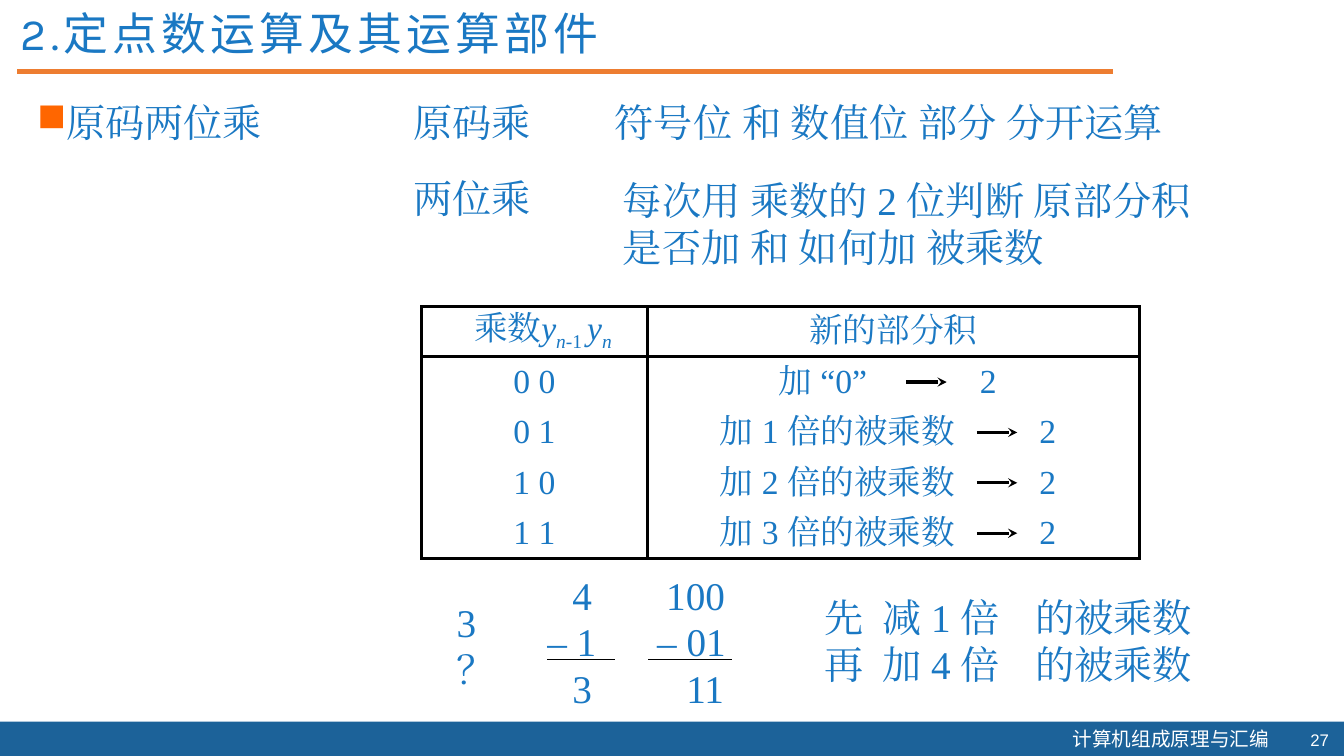
from dataclasses import dataclass
from lxml import etree
from pptx import Presentation
from pptx import util as u
from pptx.dml.color import RGBColor
from pptx.enum import shapes, text
from pptx.oxml import ns

PX = 9144
BLUE = RGBColor(0x1A, 0x78, 0xC3)
NAVY = RGBColor(0x1C, 0x62, 0x99)
ORANGE = RGBColor(0xED, 0x7D, 0x31)
BLACK = RGBColor(0, 0, 0)
WHITE = RGBColor(0xFF, 0xFF, 0xFF)
SERIF = "Times New Roman"
CJK = "Noto Sans CJK SC"
LEFT, CENTER, RIGHT = text.PP_ALIGN.LEFT, text.PP_ALIGN.CENTER, text.PP_ALIGN.RIGHT


@dataclass(frozen=True)
class Run:
    words: str
    italic: bool = False
    baseline: int = 0


@dataclass(frozen=True)
class Label:
    x: int
    y: int
    w: int
    h: int
    lines: tuple[str, ...]
    size: int = 28
    font: str = SERIF
    color: RGBColor = BLUE
    align: text.PP_ALIGN = LEFT
    anchor: text.MSO_ANCHOR = text.MSO_ANCHOR.TOP
    tabs: tuple[int, ...] = ()


@dataclass(frozen=True)
class Rule:
    x1: int
    y1: int
    x2: int
    y2: int
    color: RGBColor = BLACK
    weight: float = 0.75
    arrow: bool = False


@dataclass(frozen=True)
class Product:
    bits: str
    action: str
    start: int
    arrow: int
    result: int


@dataclass(frozen=True)
class Subtraction:
    terms: tuple[str, str, str]
    lefts: tuple[int, int, int]
    bar: tuple[int, int]


def px(n: int) -> u.Emu:
    return u.Emu(n * PX)


def sub(parent, tag: str, **attrs: str):
    return etree.SubElement(parent, ns.qn(tag), attrs)


def add_run(p, run: Run, size: int, font: str, color: RGBColor):
    r = p.add_run()
    r.text = run.words
    r.font.size = u.Pt(size)
    r.font.italic = run.italic
    r.font.color.rgb = color
    r.font.name = font
    rpr = r._r.get_or_add_rPr()
    sub(rpr, "a:ea", typeface=font)
    if run.baseline:
        rpr.set("baseline", str(run.baseline * 1000))
    return r


def add_tabs(p, stops: tuple[int, ...]) -> None:
    if stops:
        tabs = sub(p._p.get_or_add_pPr(), "a:tabLst")
        for stop in stops:
            sub(tabs, "a:tab", pos=str(stop * PX), algn="l")


def add_label(slide, label: Label):
    sp = slide.shapes.add_textbox(px(label.x), px(label.y), px(label.w), px(label.h))
    tf = sp.text_frame
    tf.word_wrap = True
    tf.vertical_anchor = label.anchor
    for i, line in enumerate(label.lines):
        p = tf.add_paragraph() if i else tf.paragraphs[0]
        p.alignment = label.align
        add_tabs(p, label.tabs)
        add_run(p, Run(line), label.size, label.font, label.color)
    return tf.paragraphs[0]


def add_rule(slide, rule: Rule) -> None:
    line = slide.shapes.add_connector(shapes.MSO_CONNECTOR.STRAIGHT, px(rule.x1), px(rule.y1),
                                      px(rule.x2), px(rule.y2))
    line.line.color.rgb = rule.color
    line.line.width = u.Pt(rule.weight)
    if rule.arrow:
        sub(line.line._get_or_add_ln(), "a:tailEnd", type="stealth")
    sub(line._element.spPr, "a:effectLst")


def style_cell(cell, left: int, edges: str) -> None:
    cell.margin_left = px(left)
    cell.margin_right = cell.margin_top = cell.margin_bottom = 0
    cell.vertical_anchor = text.MSO_ANCHOR.MIDDLE
    tcpr = cell._tc.get_or_add_tcPr()
    for side in "LRTB":
        ln = sub(tcpr, f"a:ln{side}", w=str(u.Pt(2.25)))
        if side in edges:
            sub(sub(ln, "a:solidFill"), "a:srgbClr", val=str(BLACK))
        else:
            sub(ln, "a:noFill")
    cell.fill.background()


def add_product_table(slide, products: list[Product]) -> None:
    x, y, widths, row_h = 418, 304, (224, 488), 50
    frame = slide.shapes.add_table(len(products) + 1, 2, px(x), px(y), px(sum(widths)),
                                   px(row_h * (len(products) + 1)))
    table = frame.table
    table.first_row = table.horz_banding = False
    for column, w in zip(table.columns, widths):
        column.width = px(w)
    for row in table.rows:
        row.height = px(row_h)
    heads = (
        (17, (Run("乘数"), Run("y", True), Run("n", True, -25), Run("-1 ", False, -25),
              Run("y", True), Run("n", True, -25))),
        (0, (Run("新的部分积"),)),
    )
    for col, (left, runs) in enumerate(heads):
        cell = table.cell(0, col)
        style_cell(cell, left, "LRTB")
        p = cell.text_frame.paragraphs[0]
        p.alignment = CENTER
        for run in runs:
            add_run(p, run, 24, SERIF, BLUE)
    column_x = x + widths[0]
    for i, item in enumerate(products, 1):
        edges = "LR" + ("T" if i == 1 else "") + ("B" if i == len(products) else "")
        bits, action = table.cell(i, 0), table.cell(i, 1)
        style_cell(bits, 0, edges)
        style_cell(action, item.start - column_x, edges)
        p = bits.text_frame.paragraphs[0]
        p.alignment = CENTER
        add_run(p, Run(item.bits), 24, SERIF, BLUE)
        p = action.text_frame.paragraphs[0]
        p.alignment = LEFT
        add_tabs(p, (item.result - item.start,))
        add_run(p, Run(f"{item.action}\t2"), 24, SERIF, BLUE)
        mid = y + row_h * i + row_h // 2
        add_rule(slide, Rule(item.arrow, mid, item.arrow + 40, mid, weight=2.25, arrow=True))


def add_subtraction(slide, work: Subtraction) -> None:
    for i, (term, x) in enumerate(zip(work.terms, work.lefts)):
        add_label(slide, Label(x, 562 + 46 * i, 110, 57, (term,)))
    add_rule(slide, Rule(work.bar[0], 654, work.bar[1], 654))


def main() -> None:
    prs = Presentation()
    prs.slide_width, prs.slide_height = px(1333), px(750)
    slide = prs.slides.add_slide(prs.slide_layouts[6])

    band = slide.shapes.add_shape(shapes.MSO_SHAPE.RECTANGLE, 0, px(716), px(1333), px(34))
    band.shadow.inherit = False
    band.fill.solid()
    band.fill.fore_color.rgb = NAVY
    band.line.fill.background()
    add_label(slide, Label(1054, 716, 218, 34, ("计算机组成原理与汇编",), 14, CJK, WHITE))
    add_label(slide, Label(1278, 719, 50, 30, ("27",), 12, "Arial", WHITE, RIGHT,
                           text.MSO_ANCHOR.MIDDLE))
    add_rule(slide, Rule(17, 71, 1104, 71, ORANGE, 3))

    title = add_label(slide, Label(11, 7, 1065, 48, ("2.定点数运算及其运算部件",), 32, "Karla"))
    title.line_spacing = 0.9
    title.runs[0]._r.get_or_add_rPr().set("spc", "300")

    topic = add_label(slide, Label(27, 93, 360, 57, ("原码两位乘",)))
    ppr = topic._p.get_or_add_pPr()
    ppr.set("marL", str(px(25)))
    ppr.set("indent", str(px(-25)))
    sub(sub(ppr, "a:buClr"), "a:srgbClr", val="FF6600")
    sub(ppr, "a:buChar", char="■")

    for label in (
        Label(400, 93, 202, 57, ("原码乘",)),
        Label(600, 93, 593, 57, ("符号位 和 数值位 部分 分开运算",)),
        Label(400, 168, 185, 57, ("两位乘",)),
        Label(608, 170, 627, 103, ("每次用 乘数的 2 位判断 原部分积", "是否加 和 如何加 被乘数")),
        Label(443, 589, 80, 103, ("3 ？",)),
        Label(808, 584, 452, 103, ("先\t减 1 倍\t的被乘数", "再\t加 4 倍\t的被乘数"), tabs=(57, 209)),
    ):
        add_label(slide, label)

    add_product_table(slide, [Product("0 0", "加 “0”", 772, 899, 972)] + [
        Product(bits, f"加 {n} 倍的被乘数", 714, 969, 1031)
        for n, bits in enumerate(("0 1", "1 0", "1 1"), 1)])
    add_subtraction(slide, Subtraction(("4", "– 1", "3"), (558, 533, 558), (543, 610)))
    add_subtraction(slide, Subtraction(("100", "– 01", "11"), (651, 642, 671), (643, 726)))
    prs.save("out.pptx")


if __name__ == "__main__":
    main()
